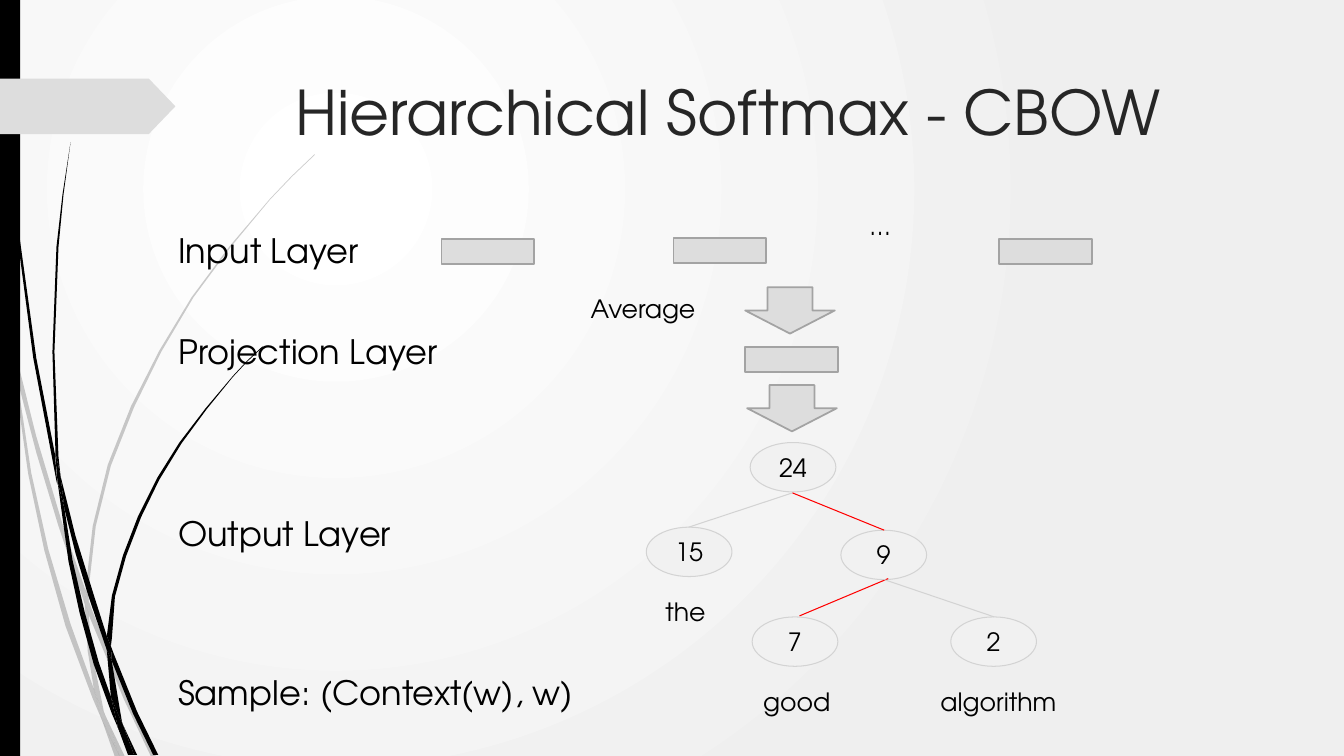
import pptx
import pptx.dml.color
import pptx.enum.shapes
import pptx.enum.text
import pptx.oxml
import pptx.oxml.ns
import pptx.util
from pptx.util import Inches

RGBColor = pptx.dml.color.RGBColor
SHAPE = pptx.enum.shapes.MSO_SHAPE
ANCHOR = pptx.enum.text.MSO_ANCHOR
ALIGN = pptx.enum.text.PP_ALIGN

FONT = "TeX Gyre Adventor"
BLACK = RGBColor(0x00, 0x00, 0x00)
TITLE_INK = RGBColor(0x26, 0x26, 0x26)
GREY = RGBColor(0xDD, 0xDD, 0xDD)
GREY_EDGE = RGBColor(0xA3, 0xA3, 0xA3)
NODE_FILL = RGBColor(0xF1, 0xF1, 0xF1)
TREE_EDGE = RGBColor(0xD3, 0xD3, 0xD3)
RED = RGBColor(0xFF, 0x00, 0x00)

BACKGROUND = (
    '<p:bg %s><p:bgPr><a:gradFill rotWithShape="1"><a:gsLst>'
    '<a:gs pos="0"><a:srgbClr val="FFFFFF"/></a:gs>'
    '<a:gs pos="100000"><a:srgbClr val="EFEFEF"/></a:gs></a:gsLst>'
    '<a:path path="circle">'
    '<a:fillToRect l="50000" t="50000" r="100000" b="100000"/></a:path>'
    '</a:gradFill><a:effectLst/></p:bgPr></p:bg>' % pptx.oxml.ns.nsdecls("p", "a"))

# Outline corners of the pieces that make up the grass blades.
GREY_BLADES = [
    [(0.11, 3.5), (0.09, 3.22), (0, 2.82), (0, 2.99), (0.1, 3.44)],
    [(0.58, 5.22), (0.84, 5.99), (0.85, 5.86), (0.62, 5.2), (0.36, 4.33),
     (0.14, 3.45), (0.17, 3.76), (0.36, 4.49)],
    [(0.92, 6.07), (0.88, 5.96), (0.88, 6.1), (1.23, 6.94), (1.5, 7.51),
     (1.55, 7.51), (1.27, 6.92)],
    [(1.19, 7.51), (1.24, 7.51), (1.05, 7.11)],
    [(0.93, 6.83), (0.7, 6.19), (0.48, 5.45), (0.31, 4.69), (0.17, 3.76),
     (0.11, 3.5), (0.28, 4.7), (0.44, 5.46), (0.65, 6.21), (0.92, 6.93),
     (1.01, 7.14), (0.99, 7.07)],
    [(0.84, 5.99), (0.87, 6.46), (0.93, 6.83), (0.96, 6.92), (1.05, 7.11),
     (1.03, 7.06), (0.91, 6.46), (0.88, 6.1), (0.88, 6.08)],
    [(0.88, 5.84), (0.95, 5.22), (1.1, 4.62), (1.33, 4.04), (1.6, 3.49),
     (1.92, 2.95), (2.29, 2.45), (2.68, 1.98), (2.9, 1.75), (3.12, 1.54),
     (3.12, 1.53), (2.89, 1.75), (2.68, 1.97), (2.28, 2.44), (1.9, 2.95),
     (1.58, 3.48), (1.3, 4.03), (1.07, 4.61), (0.92, 5.22), (0.85, 5.84),
     (0.85, 5.86), (0.88, 5.96)],
    [(1.01, 7.14), (1.14, 7.51), (1.19, 7.51)],
    [(0.88, 6.08), (0.88, 6.1), (0.88, 5.96), (0.85, 5.86), (0.84, 5.99)],
    [(0.96, 6.92), (0.93, 6.83), (0.99, 7.07), (1.01, 7.14), (1.19, 7.51),
     (1.05, 7.11)],
]
BLACK_BLADES = [
    [(0.07, 1.1), (0.17, 2.33), (0.33, 3.55), (0.56, 4.77), (0.57, 4.81),
     (0.55, 4.57), (0.55, 4.53), (0.36, 3.55), (0.19, 2.32), (0.08, 1.09),
     (0.05, 0.48), (0.04, 0), (0.03, 0), (0.04, 0.48)],
    [(0.88, 5.92), (1.06, 6.45), (1.06, 6.31), (0.93, 5.9), (0.75, 5.32),
     (0.6, 4.72), (0.64, 5.05), (0.75, 5.49)],
    [(1.13, 6.49), (1.1, 6.41), (1.11, 6.56), (1.32, 7.08), (1.52, 7.49),
     (1.57, 7.49), (1.36, 7.06)],
    [(1.1, 6.91), (0.98, 6.57), (0.84, 6.07), (0.72, 5.56), (0.64, 5.05),
     (0.57, 4.77), (0.68, 5.57), (0.79, 6.08), (0.93, 6.59), (1.11, 7.08),
     (1.17, 7.22), (1.16, 7.17)],
    [(0.6, 4.72), (0.58, 4.53), (0.54, 3.49), (0.58, 2.45), (0.63, 1.93),
     (0.7, 1.41), (0.62, 1.93), (0.56, 2.45), (0.52, 3.49), (0.55, 4.49)],
    [(1.33, 7.49), (1.36, 7.49), (1.22, 7.19)],
    [(0.57, 4.77), (0.64, 5.05), (0.6, 4.72), (0.55, 4.49), (0.55, 4.53)],
    [(1.11, 6.33), (1.14, 5.92), (1.25, 5.52), (1.4, 5.13), (1.58, 4.76),
     (1.8, 4.4), (2.05, 4.06), (2.31, 3.74), (2.45, 3.59), (2.61, 3.44),
     (2.6, 3.44), (2.45, 3.58), (2.31, 3.73), (2.04, 4.05), (1.78, 4.39),
     (1.56, 4.74), (1.37, 5.12), (1.22, 5.51), (1.11, 5.91), (1.06, 6.31),
     (1.1, 6.41)],
    [(1.17, 7.22), (1.27, 7.49), (1.31, 7.49)],
    [(1.06, 6.45), (1.1, 6.91), (1.16, 7.06), (1.22, 7.19), (1.21, 7.16),
     (1.11, 6.56), (1.09, 6.51)],
    [(1.06, 6.45), (1.09, 6.51), (1.11, 6.56), (1.1, 6.41), (1.06, 6.31)],
    [(1.16, 7.06), (1.1, 6.91), (1.16, 7.17), (1.17, 7.22), (1.3, 7.49),
     (1.33, 7.49), (1.22, 7.19)],
]

VECTORS = [(4.38, 2.37), (6.68, 2.36), (9.91, 2.37), (7.39, 3.44)]
DOWN_ARROWS = [(7.39, 2.85), (7.41, 3.82)]
NODES = [("24", 7.44, 4.39), ("9", 8.34, 5.26), ("15", 6.41, 5.23),
         ("7", 7.46, 6.12), ("2", 9.43, 6.12)]
EDGES = [(7.86, 4.89, 6.83, 5.23, TREE_EDGE), (7.86, 4.89, 8.77, 5.26, RED),
         (8.81, 5.74, 7.93, 6.11, RED), (8.77, 5.75, 9.86, 6.12, TREE_EDGE)]
SMALL_LABELS = [("…", 8.53, 2.04, 0.45), ("Average", 5.76, 2.86, 1.28),
                ("the", 6.5, 5.87, 0.61), ("good", 7.47, 6.76, 0.88),
                ("algorithm", 9.23, 6.76, 1.36)]
LAYER_LABELS = [("Input Layer", 2.23, 2.01), ("Projection Layer", 3.23, 2.82),
                ("Output Layer", 5.04, 2.34), ("Sample: (Context(w), w)", 6.62, 4.17)]


def set_font(p, size, color):
    p.font.name = FONT
    p.font.size = pptx.util.Pt(size)
    p.font.color.rgb = color


def paint(shape, fill, line=None, width=1.25):
    shape.shadow.inherit = False
    shape.fill.solid()
    shape.fill.fore_color.rgb = fill
    if line is None:
        shape.line.fill.background()
    else:
        shape.line.color.rgb = line
        shape.line.width = pptx.util.Pt(width)


def add_box(s, kind, x, y, w, h, fill, line=None, width=1.25):
    shape = s.shapes.add_shape(kind, Inches(x), Inches(y), Inches(w), Inches(h))
    paint(shape, fill, line, width)
    return shape


def add_blade(s, corners, alpha=100):
    """Draw one black outline, with its opacity in percent."""
    points = [(Inches(x), Inches(y)) for x, y in corners]
    builder = s.shapes.build_freeform(*points[0])
    builder.add_line_segments(points[1:], close=True)
    blade = builder.convert_to_shape()
    paint(blade, BLACK)
    if alpha < 100:
        color = blade._element.spPr.find(".//" + pptx.oxml.ns.qn("a:srgbClr"))
        color.append(pptx.oxml.parse_xml(
            '<a:alpha %s val="%d"/>' % (pptx.oxml.ns.nsdecls("a"), alpha * 1000)))


def add_label(s, text, x, y, w, h, size):
    tf = s.shapes.add_textbox(Inches(x), Inches(y), Inches(w), Inches(h)).text_frame
    tf.word_wrap = False
    tf.auto_size = pptx.enum.text.MSO_AUTO_SIZE.SHAPE_TO_FIT_TEXT
    tf.text = text
    set_font(tf.paragraphs[0], size, BLACK)


def add_node(s, text, x, y):
    tf = add_box(s, SHAPE.OVAL, x, y, 0.85, 0.49, NODE_FILL, TREE_EDGE, 0.75).text_frame
    tf.vertical_anchor = ANCHOR.MIDDLE
    tf.text = text
    p = tf.paragraphs[0]
    p.alignment = ALIGN.CENTER
    set_font(p, 18, BLACK)


def add_edge(s, x1, y1, x2, y2, color):
    edge = s.shapes.add_connector(pptx.enum.shapes.MSO_CONNECTOR.STRAIGHT,
                                  Inches(x1), Inches(y1), Inches(x2), Inches(y2))
    edge.line.color.rgb = color
    edge.line.width = pptx.util.Pt(0.75)
    edge._element.spPr.append(pptx.oxml.parse_xml(
        "<a:effectLst %s/>" % pptx.oxml.ns.nsdecls("a")))


def add_backdrop(s):
    s._element.cSld.insert(0, pptx.oxml.parse_xml(BACKGROUND))
    for corners in GREY_BLADES:
        add_blade(s, corners, alpha=20)
    for corners in BLACK_BLADES:
        add_blade(s, corners)
    add_box(s, SHAPE.RECTANGLE, 0, 0, 0.2, 7.5, BLACK)
    tag = add_box(s, SHAPE.PENTAGON, 0, 0.78, 1.74, 0.55, GREY)
    tag.adjustments[0] = 0.48


def set_title(s, text):
    title = s.shapes.title
    title.left, title.top = Inches(2.83), Inches(0.68)
    title.width, title.height = Inches(9.75), Inches(1.4)
    tf = title.text_frame
    tf.vertical_anchor = ANCHOR.TOP
    tf.text = text
    p = tf.paragraphs[0]
    p.alignment = ALIGN.LEFT
    set_font(p, 44, TITLE_INK)


def main():
    prs = pptx.Presentation()
    prs.slide_width, prs.slide_height = Inches(13.33), Inches(7.5)
    s = prs.slides.add_slide(prs.slide_layouts[5])
    add_backdrop(s)
    set_title(s, "Hierarchical Softmax - CBOW")
    for x, y in VECTORS:
        add_box(s, SHAPE.RECTANGLE, x, y, 0.92, 0.25, GREY, GREY_EDGE)
    for x, y in DOWN_ARROWS:
        add_box(s, SHAPE.DOWN_ARROW, x, y, 0.89, 0.46, GREY, GREY_EDGE)
    for node in NODES:
        add_node(s, *node)
    for edge in EDGES:
        add_edge(s, *edge)
    for text, x, y, w in SMALL_LABELS:
        add_label(s, text, x, y, w, 0.4, 18)
    for text, y, w in LAYER_LABELS:
        add_label(s, text, 1.67, y, w, 0.5, 24)
    prs.save("out.pptx")


if __name__ == "__main__":
    main()
